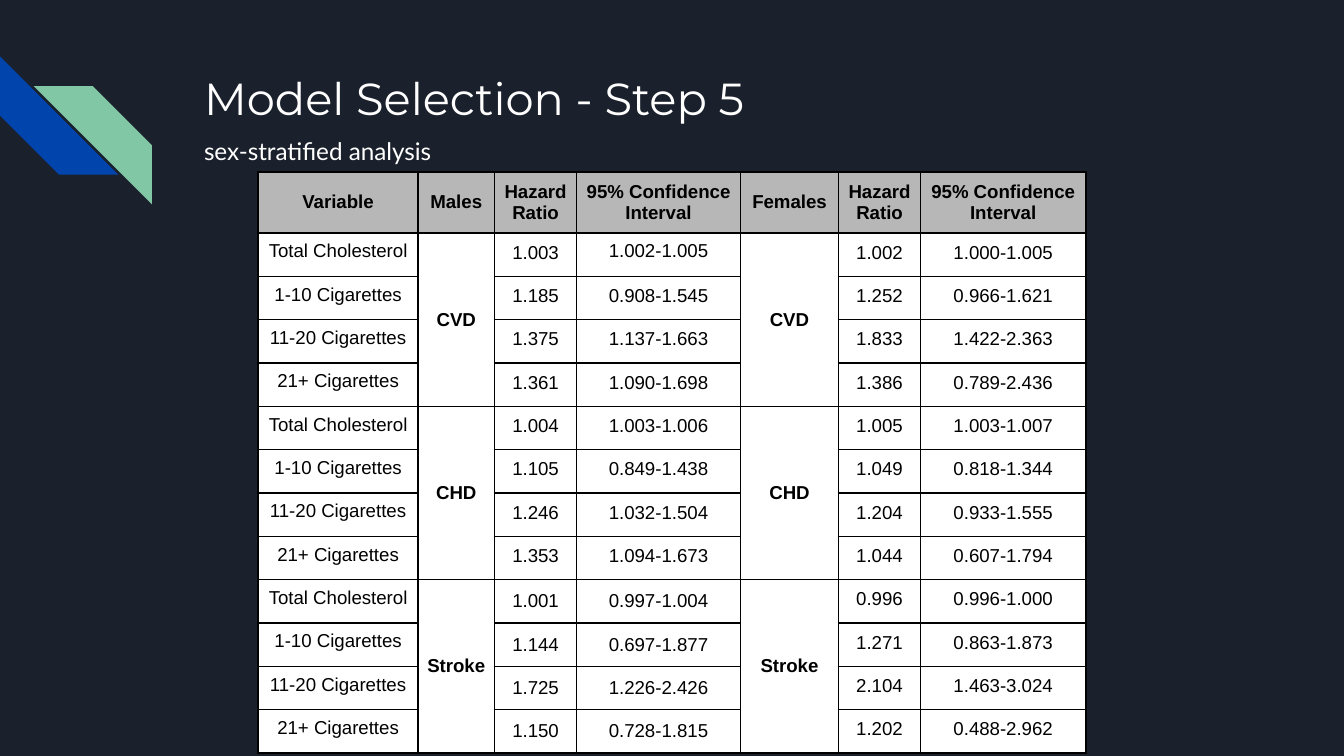
from lxml.etree import SubElement
from pptx import Presentation
from pptx.dml.color import RGBColor
from pptx.enum.shapes import MSO_SHAPE
from pptx.enum.text import MSO_ANCHOR, PP_ALIGN
from pptx.oxml.ns import qn
from pptx.util import Inches, Pt

COLORS = {
    "background": "1B212C", "blue": "0145AC", "green": "82C7A5",
    "white": "FFFFFF", "header": "B7B7B7", "black": "000000",
}
WIDTH = 10
HEIGHT = WIDTH * 9 / 16

# Table grid, in inches
TABLE_LEFT, TABLE_TOP = 1.92, 1.28
COLUMNS = [1.19, 0.57, 0.61, 1.22, 0.73, 0.61, 1.23]
HEADER_HEIGHT, BODY_HEIGHT = 0.45, 3.87
GROUP_COLUMNS = (1, 4)

HEADERS = ["Variable", "Males", "Hazard Ratio", "95% Confidence Interval",
           "Females", "Hazard Ratio", "95% Confidence Interval"]
VARIABLES = ["Total Cholesterol", "1-10 Cigarettes", "11-20 Cigarettes",
             "21+ Cigarettes"]
# Per outcome: male ratio and interval, female ratio and interval
OUTCOMES = {
    "CVD": [
        ("1.003", "1.002-1.005", "1.002", "1.000-1.005"),
        ("1.185", "0.908-1.545", "1.252", "0.966-1.621"),
        ("1.375", "1.137-1.663", "1.833", "1.422-2.363"),
        ("1.361", "1.090-1.698", "1.386", "0.789-2.436"),
    ],
    "CHD": [
        ("1.004", "1.003-1.006", "1.005", "1.003-1.007"),
        ("1.105", "0.849-1.438", "1.049", "0.818-1.344"),
        ("1.246", "1.032-1.504", "1.204", "0.933-1.555"),
        ("1.353", "1.094-1.673", "1.044", "0.607-1.794"),
    ],
    "Stroke": [
        ("1.001", "0.997-1.004", "0.996", "0.996-1.000"),
        ("1.144", "0.697-1.877", "1.271", "0.863-1.873"),
        ("1.725", "1.226-2.426", "2.104", "1.463-3.024"),
        ("1.150", "0.728-1.815", "1.202", "0.488-2.962"),
    ],
}


def color(name):
    return RGBColor.from_string(COLORS[name])


def set_font(para, name, size, tone, bold=False):
    para.font.name = name
    para.font.size = Pt(size)
    para.font.bold = bold
    para.font.color.rgb = color(tone)


def add_stripe(page, left, top, tone, rotation=0, flipped=False):
    side = Inches(0.88)
    stripe = page.shapes.add_shape(
        MSO_SHAPE.DIAGONAL_STRIPE, Inches(left), Inches(top), side, side)
    stripe.shadow.inherit = False
    stripe.fill.solid()
    stripe.fill.fore_color.rgb = color(tone)
    stripe.line.fill.background()
    stripe.rotation = rotation
    if flipped:
        stripe._element.spPr.get_or_add_xfrm().set("flipH", "1")


def add_text(page, text, top, height, font, size, line_spacing=1.0):
    box = page.shapes.add_textbox(
        Inches(1.42), Inches(top), Inches(0.77 * WIDTH), Inches(height))
    frame = box.text_frame
    frame.word_wrap = True
    frame.margin_left = frame.margin_right = Inches(0.1)
    frame.margin_top = frame.margin_bottom = Inches(0.1)
    para = frame.paragraphs[0]
    para.text = text
    para.line_spacing = line_spacing
    set_font(para, font, size, "white")


def add_borders(cell):
    properties = cell._tc.get_or_add_tcPr()
    for index, side in enumerate(("lnL", "lnR", "lnT", "lnB")):
        line = SubElement(properties, qn(f"a:{side}"), w=str(Pt(1)))
        fill = SubElement(line, qn("a:solidFill"))
        SubElement(fill, qn("a:srgbClr"), val=COLORS["black"])
        # Borders come before the fill in the cell properties
        properties.insert(index, line)


def style_cell(cell, fill, margin, middle, bold):
    cell.fill.solid()
    cell.fill.fore_color.rgb = color(fill)
    cell.margin_left = cell.margin_right = Inches(margin)
    cell.margin_top = cell.margin_bottom = Inches(margin)
    cell.vertical_anchor = MSO_ANCHOR.MIDDLE if middle else MSO_ANCHOR.TOP
    para = cell.text_frame.paragraphs[0]
    para.alignment = PP_ALIGN.CENTER
    set_font(para, "Arial", 10, "black", bold)
    add_borders(cell)


def table_rows():
    rows = [HEADERS]
    for outcome, results in OUTCOMES.items():
        for index, (variable, values) in enumerate(zip(VARIABLES, results)):
            group = outcome if index == 0 else ""
            rows.append([variable, group, *values[:2], group, *values[2:]])
    return rows


def add_results_table(page):
    rows = table_rows()
    frame = page.shapes.add_table(
        len(rows), len(COLUMNS), Inches(TABLE_LEFT), Inches(TABLE_TOP),
        Inches(sum(COLUMNS)), Inches(HEADER_HEIGHT + BODY_HEIGHT))
    table = frame.table
    for column, width in zip(table.columns, COLUMNS):
        column.width = Inches(width)
    for index, row in enumerate(table.rows):
        row.height = Inches(BODY_HEIGHT / (len(rows) - 1) if index
                            else HEADER_HEIGHT)

    last_group = len(rows) - len(VARIABLES)
    for r, values in enumerate(rows):
        for c, value in enumerate(values):
            cell = table.cell(r, c)
            cell.text = value
            header, group = r == 0, c in GROUP_COLUMNS
            narrow = header or c == 0 or group or (r, c) == (1, 3)
            centered = header or group or (r >= last_group and c in (2, 3))
            style_cell(cell, "header" if header else "white",
                       0.06 if narrow else 0.07, centered, header or group)

    # One merged cell per outcome and sex
    for top in range(1, len(rows), len(VARIABLES)):
        for c in GROUP_COLUMNS:
            table.cell(top, c).merge(table.cell(top + len(VARIABLES) - 1, c))


def main():
    deck = Presentation()
    deck.slide_width, deck.slide_height = Inches(WIDTH), Inches(HEIGHT)
    page = deck.slides.add_slide(deck.slide_layouts[6])
    page.background.fill.solid()
    page.background.fill.fore_color.rgb = color("background")

    # Corner decoration
    add_stripe(page, 0, 0.42, "blue", rotation=270)
    add_stripe(page, 0.25, 0.64, "green", flipped=True)

    # Heading and results
    add_text(page, "Model Selection - Step 5", 0.43, 1, "Montserrat", 24)
    add_text(page, "sex-stratified analysis", 0.88, 3.18, "Lato", 13, 1.15)
    add_results_table(page)

    deck.save("out.pptx")


if __name__ == "__main__":
    main()
